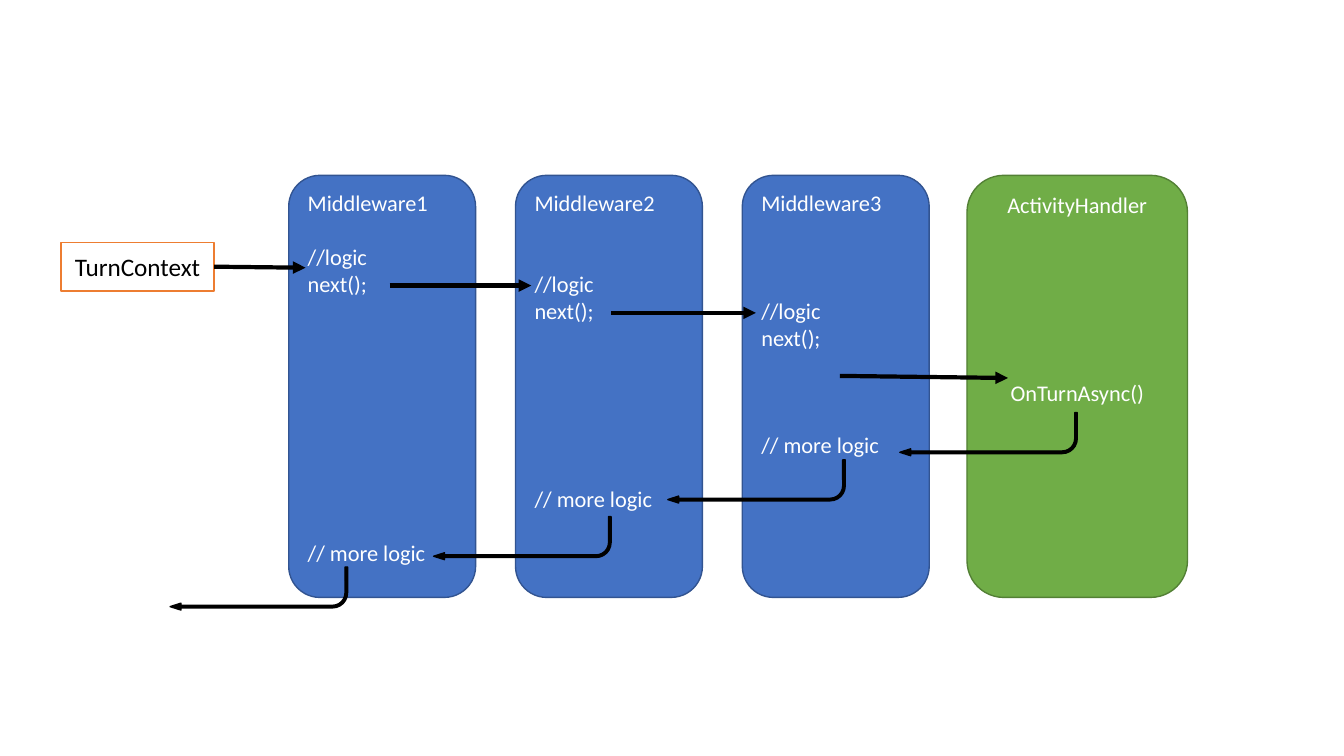
from lxml.etree import SubElement
from pptx import Presentation
from pptx.dml.color import RGBColor
from pptx.enum.shapes import MSO_CONNECTOR, MSO_SHAPE
from pptx.enum.text import MSO_ANCHOR, PP_ALIGN
from pptx.oxml.ns import qn
from pptx.util import Pt

PX = 9525  # EMU per px, 96 px to the inch
LINE_PT = 19.2  # height of one 16 pt text line
COLORS = {
    "middleware": "4472C4",
    "middleware_edge": "325491",
    "handler": "70AD47",
    "handler_edge": "538035",
    "context_edge": "ED7D31",
    "white": "FFFFFF",
    "black": "000000",
}


def color(name):
    return RGBColor.from_string(COLORS[name])


def add_box(kind, box, fill, edge, lines=(), size=16, text="white", align=PP_ALIGN.LEFT):
    """Add a shape; lines holds (wording, number of line heights left free above it)."""
    shape = slide.shapes.add_shape(kind, *(v * PX for v in box))
    shape.shadow.inherit = False
    shape.fill.solid()
    shape.fill.fore_color.rgb = color(fill)
    shape.line.color.rgb = color(edge)
    shape.line.width = Pt(1)
    frame = shape.text_frame
    for i, (wording, gap) in enumerate(lines):
        paragraph = frame.add_paragraph() if i else frame.paragraphs[0]
        paragraph.text = wording
        paragraph.alignment = align
        paragraph.space_before = Pt(gap * LINE_PT)
        paragraph.font.name = "Calibri"
        paragraph.font.size = Pt(size)
        paragraph.font.color.rgb = color(text)
    return shape


prs = Presentation()
prs.slide_width, prs.slide_height = 1280 * PX, 720 * PX
slide = prs.slides.add_slide(prs.slide_layouts[6])

# Pipeline columns: each middleware starts one line lower and resumes two lines earlier
TOP, HEIGHT = 167, 402
for i in range(3):
    step = i + 1
    code = [(f"Middleware{step}", 0), ("//logic", step), ("next();", 0),
            ("// more logic", 12 - 3 * step)]
    middleware = add_box(MSO_SHAPE.ROUNDED_RECTANGLE, (275 + 216 * i, TOP, 178, HEIGHT),
                         "middleware", "middleware_edge", code)
    middleware.text_frame.vertical_anchor = MSO_ANCHOR.TOP

handler = add_box(MSO_SHAPE.ROUNDED_RECTANGLE, (921, TOP, 210, HEIGHT),
                  "handler", "handler_edge",
                  [("ActivityHandler", 0), ("OnTurnAsync()", 6)], align=PP_ALIGN.CENTER)
handler.text_frame.vertical_anchor = MSO_ANCHOR.TOP

turn_context = add_box(MSO_SHAPE.RECTANGLE, (58, 231, 146, 46), "white", "context_edge",
                       [("TurnContext", 0)], 18, "black", PP_ALIGN.CENTER)
turn_context.text_frame.vertical_anchor = MSO_ANCHOR.MIDDLE

# Calls going forward
calls = []
for ends in [(204, 254, 291, 255), (371, 272, 506, 272),
             (582, 298, 720, 298), (800, 358, 960, 360)]:
    call = slide.shapes.add_connector(MSO_CONNECTOR.STRAIGHT, *(v * PX for v in ends))
    call.line.color.rgb = color("black")
    call.line.width = Pt(3)
    SubElement(call.line._get_or_add_ln(), qn("a:tailEnd"), type="triangle")
    SubElement(call._element.spPr, qn("a:effectLst"))
    calls.append(call)
calls[0].begin_connect(turn_context, 3)

# Returns going back
for left, top in [(857, 393), (636, 438), (413, 492), (162, 540)]:
    back = add_box(MSO_SHAPE.BENT_ARROW, (left, top, 169, 41), "black", "black")
    back.rotation = 180
    for i, value in enumerate((0.06, 0.08, 0.25, 0.35)):
        back.adjustments[i] = value

prs.save("out.pptx")
